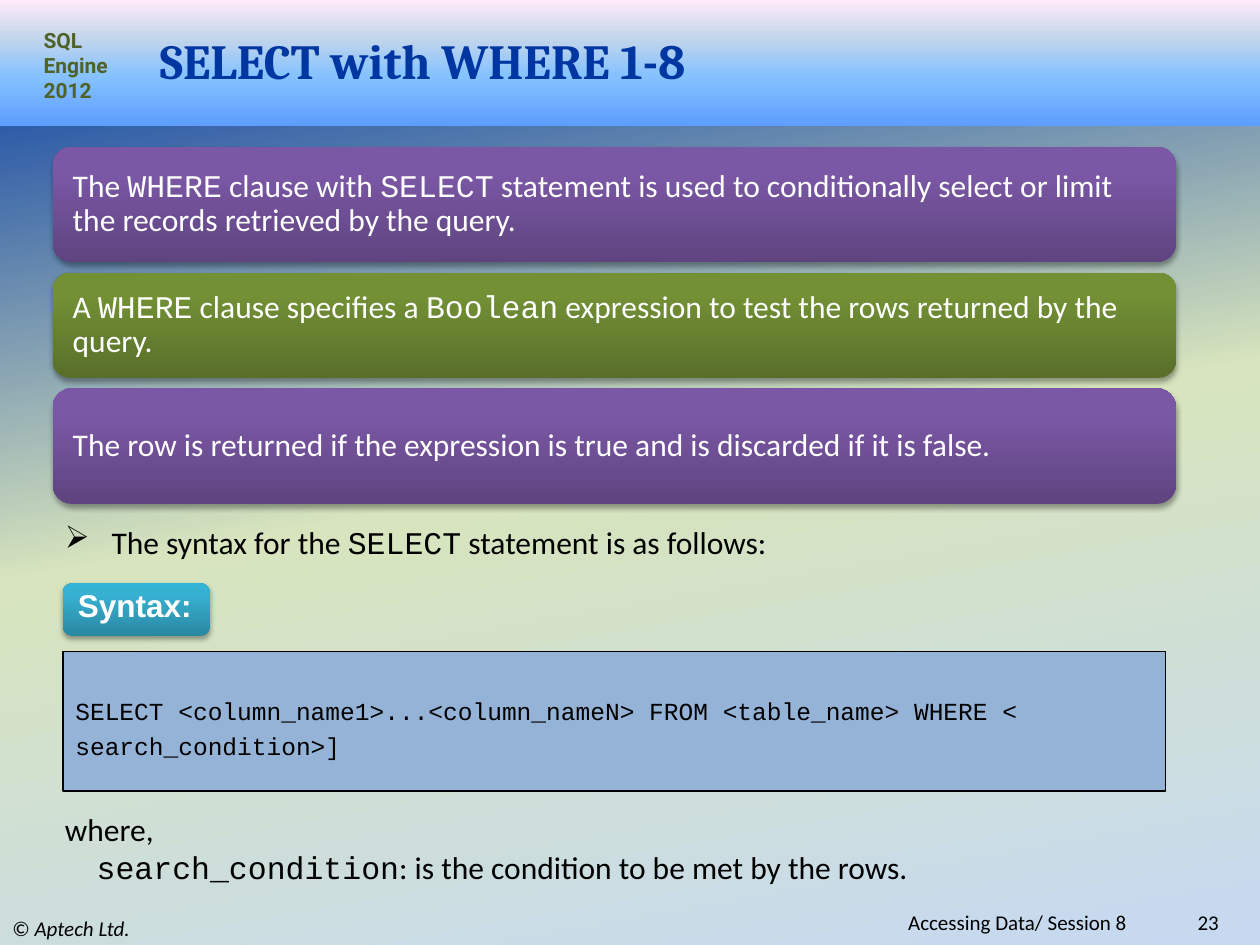
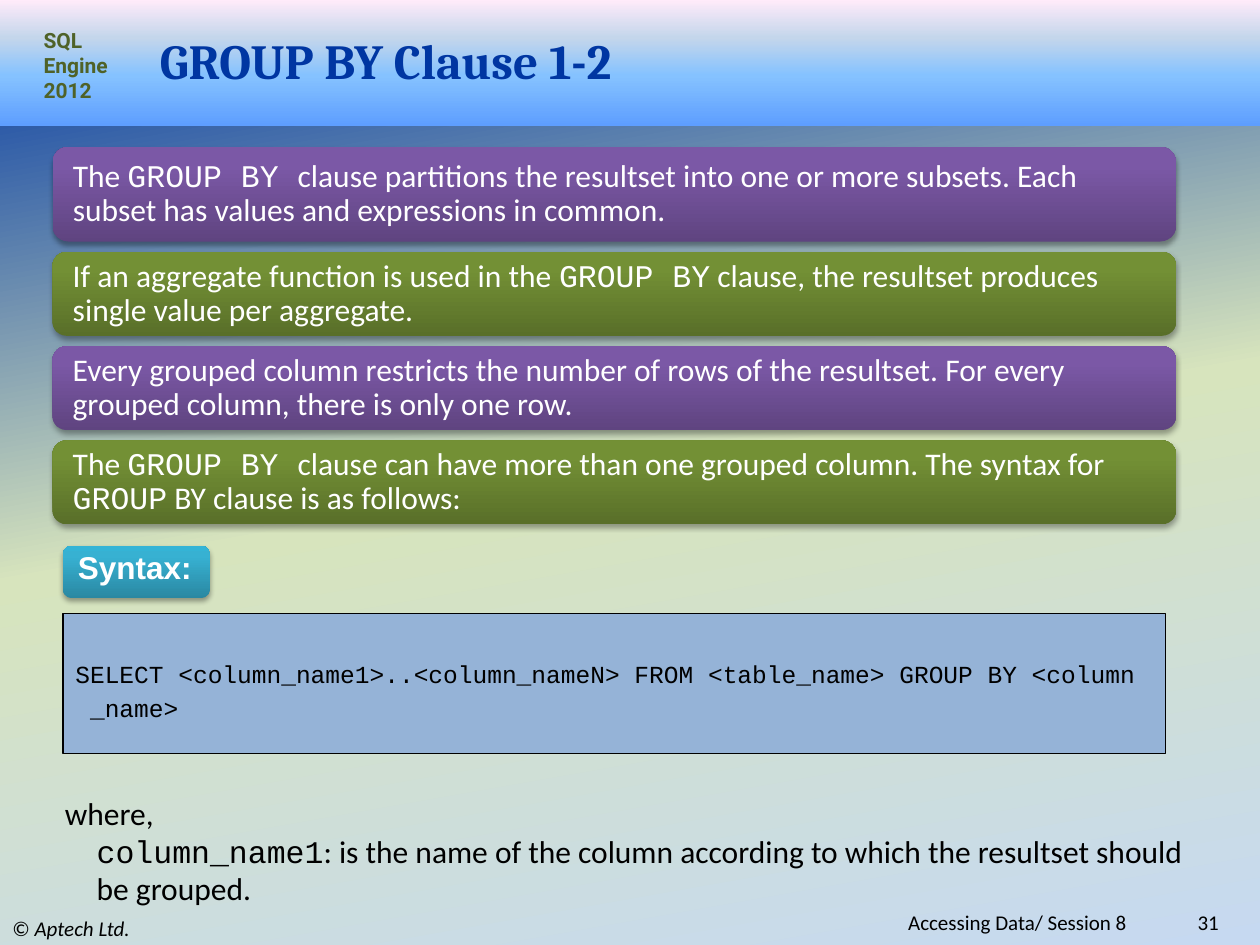
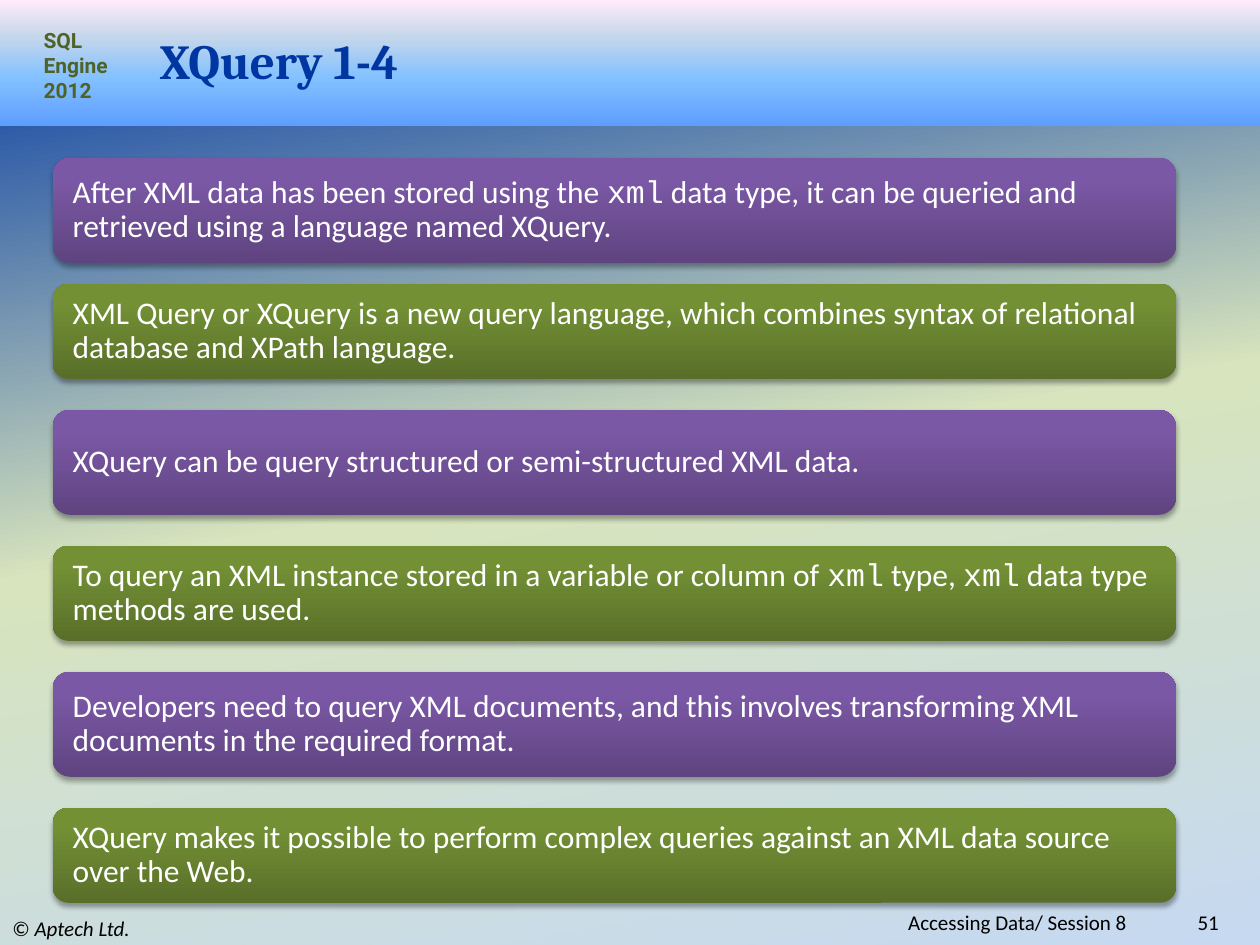
from collections import namedtuple

from lxml.etree import SubElement
from pptx import Presentation
from pptx.dml.color import RGBColor
from pptx.enum.shapes import MSO_SHAPE as Preset
from pptx.enum.text import MSO_ANCHOR as Anchor, MSO_AUTO_SIZE as AutoSize, PP_ALIGN as Align
from pptx.oxml.ns import qn
from pptx.util import Cm, Pt

Box = namedtuple("Box", "left top width height")

BLACK = RGBColor(0x00, 0x00, 0x00)
WHITE = RGBColor(0xFF, 0xFF, 0xFF)
NAVY = RGBColor(0x00, 0x36, 0xA2)
OLIVE = RGBColor(0x4F, 0x62, 0x28)
CODE_BLUE = RGBColor(0x95, 0xB3, 0xD7)

BACKGROUND = [(0, NAVY), (50, RGBColor(0xD7, 0xE4, 0xBD)), (100, RGBColor(0xC6, 0xD9, 0xF1))]
BAND = [(0, RGBColor(0x5E, 0x9E, 0xFF)), (40, RGBColor(0x85, 0xC2, 0xFF)),
        (70, RGBColor(0xC4, 0xD6, 0xEB)), (100, RGBColor(0xFF, 0xEB, 0xFA))]
PURPLE = [(0, RGBColor(0x5F, 0x44, 0x80)), (80, RGBColor(0x7B, 0x58, 0xA6)),
          (100, RGBColor(0x7C, 0x57, 0xA8))]
GREEN = [(0, RGBColor(0x59, 0x6F, 0x29)), (80, RGBColor(0x73, 0x90, 0x35)),
         (100, RGBColor(0x74, 0x93, 0x34))]
TEAL = [(0, RGBColor(0x2A, 0x88, 0xA2)), (80, RGBColor(0x37, 0xB1, 0xD2)),
        (100, RGBColor(0x34, 0xB4, 0xD6))]

BODY_FONT = "Calibri"
CODE_FONT = "Courier New"
HEADER = Box(0, 0, 25.4, 2.54)
FOOTER = Box(0, 18.36, 24.82, 0.69)
CARD_LEFT, CARD_WIDTH = 1.06, 22.65
PANEL_LEFT, PANEL_WIDTH, PANEL_HEIGHT = 1.27, 22.23, 4.19
NOTE_LEFT, NOTE_WIDTH = 1.06, 23.5


def lengths(box):
    """Convert a box in centimetres to four lengths."""
    return [Cm(value) for value in box]


def set_gradient(fill, owner, stops, angle):
    """Give a fill of the owner element a linear gradient, angle clockwise."""
    fill.gradient()
    gradient = owner.find(".//" + qn("a:gradFill"))
    stop_list = gradient.find(qn("a:gsLst"))
    stop_list.clear()
    for position, color in stops:
        stop = SubElement(stop_list, qn("a:gs"), pos=str(position * 1000))
        SubElement(stop, qn("a:srgbClr"), val=str(color))
    line = gradient.find(qn("a:lin"))
    line.set("ang", str(angle * 60000))
    line.set("scaled", "0")


def add_gradient_shape(slide, preset, box, stops, shadow=True):
    """Add a borderless shape with an upward gradient and a soft shadow."""
    shape = slide.shapes.add_shape(preset, *lengths(box))
    shape.shadow.inherit = False
    set_gradient(shape.fill, shape.element, stops, 270)
    shape.line.fill.background()
    if shadow:
        effects = shape.element.spPr.find(qn("a:effectLst"))
        outer = SubElement(effects, qn("a:outerShdw"), blurRad=str(Pt(3.1)), dist=str(Pt(1.8)),
                           dir="5400000", rotWithShape="0")
        color = SubElement(outer, qn("a:srgbClr"), val=str(BLACK))
        SubElement(color, qn("a:alpha"), val="35000")
    return shape


def add_run(paragraph, text, size, color, font=BODY_FONT, bold=None, italic=None):
    """Append one formatted run."""
    run = paragraph.add_run()
    run.text = text
    run.font.name, run.font.size = font, Pt(size)
    run.font.bold, run.font.italic = bold, italic
    run.font.color.rgb = color


def add_marked_runs(paragraph, text, color):
    """Append body runs, with the parts between backticks in the code font."""
    for index, part in enumerate(text.split("`")):
        if part:
            add_run(paragraph, part, 18, color, CODE_FONT if index % 2 else BODY_FONT)


def add_text_box(slide, box, anchor=Anchor.TOP):
    """Add a wrapping text box and return its frame."""
    frame = slide.shapes.add_textbox(*lengths(box)).text_frame
    frame.word_wrap = True
    frame.vertical_anchor = anchor
    return frame


def draw_header(slide, box, title_text):
    """Draw the band, the course label and the slide title."""
    title = slide.shapes.title
    band = add_gradient_shape(slide, Preset.RECTANGLE, box, BAND, shadow=False)
    title.element.addprevious(band.element)
    label = add_text_box(slide, Box(box.left + 0.63, box.top + 0.43, 1.91, 1.8))
    add_run(label.paragraphs[0], "SQL Engine 2012", 12, OLIVE, "Roboto", bold=True)
    title.left, title.top, title.width, title.height = lengths(
        Box(box.left + 2.97, box.top + 0.64, 21.16, 1.14))
    frame = title.text_frame
    frame.auto_size = AutoSize.NONE
    frame.vertical_anchor = Anchor.MIDDLE
    frame.paragraphs[0].alignment = Align.LEFT
    add_run(frame.paragraphs[0], title_text, 28, NAVY, "Cambria", bold=True)


def draw_footer(slide, box, number):
    """Draw the copyright line, the session name and the slide number."""
    rights = add_text_box(slide, Box(box.left, box.top, 8.46, box.height), Anchor.MIDDLE)
    add_run(rights.paragraphs[0], "© ", 12, BLACK)
    add_run(rights.paragraphs[0], "Aptech Ltd.", 12, BLACK, italic=True)
    right = box.left + box.width
    for text, inset, width in [("Accessing Data/ Session 8 ", 1.76, 16.71), (number, 0, 2.16)]:
        frame = add_text_box(slide, Box(right - inset - width, box.top, width, 0.46), Anchor.MIDDLE)
        frame.paragraphs[0].alignment = Align.RIGHT
        add_run(frame.paragraphs[0], text, 12, BLACK)


def draw_card(slide, box, text, stops):
    """Draw one rounded statement card."""
    frame = add_gradient_shape(slide, Preset.ROUNDED_RECTANGLE, box, stops).text_frame
    frame.word_wrap = True
    frame.vertical_anchor = Anchor.MIDDLE
    frame.margin_left = frame.margin_right = Cm(0.41 - 0.05 * box.height)
    frame.margin_top = frame.margin_bottom = 0
    paragraph = frame.paragraphs[0]
    paragraph.alignment = Align.LEFT
    paragraph.line_spacing = 0.9
    add_marked_runs(paragraph, text, WHITE)


def draw_cards(slide, top, cards):
    """Stack cards of (gap before, height, text) in alternating colours."""
    for index, (gap, height, text) in enumerate(cards):
        top += gap
        draw_card(slide, Box(CARD_LEFT, top, CARD_WIDTH, height), text,
                  GREEN if index % 2 else PURPLE)
        top += height


def draw_syntax(slide, box, code_lines):
    """Draw the syntax label and the code panel below it."""
    label = add_gradient_shape(slide, Preset.ROUNDED_RECTANGLE,
                               Box(box.left, box.top, 2.96, 1.06), TEAL).text_frame
    label.vertical_anchor = Anchor.MIDDLE
    label.paragraphs[0].alignment = Align.LEFT
    label.paragraphs[0].line_spacing = 0.7
    add_run(label.paragraphs[0], "Syntax:", 18, WHITE, "Arial", bold=True)

    panel = slide.shapes.add_shape(Preset.RECTANGLE, *lengths(
        Box(box.left, box.top + 1.37, box.width, box.height - 1.37)))
    panel.shadow.inherit = False
    panel.fill.solid()
    panel.fill.fore_color.rgb = CODE_BLUE
    panel.line.color.rgb = BLACK
    panel.line.width = Pt(0.75)
    frame = panel.text_frame
    frame.word_wrap = True
    frame.vertical_anchor = Anchor.TOP
    frame.margin_top = Cm(1.07)
    for index, code in enumerate(code_lines):
        paragraph = frame.add_paragraph() if index else frame.paragraphs[0]
        paragraph.alignment = Align.LEFT
        paragraph.line_spacing = 0.7
        if index:
            paragraph.space_before = Pt(7.8)
        add_run(paragraph, code, 14, BLACK, CODE_FONT)


def draw_bullet(slide, box, text):
    """Draw one arrow-bulleted line."""
    paragraph = add_text_box(slide, box).paragraphs[0]
    properties = paragraph._p.get_or_add_pPr()
    properties.set("marL", str(Cm(0.94)))
    properties.set("indent", str(Cm(-0.94)))
    SubElement(properties, qn("a:buChar"), char="➢")
    add_marked_runs(paragraph, text, BLACK)


def draw_where(slide, box, text):
    """Draw the explanation of a syntax term."""
    frame = add_text_box(slide, box)
    add_marked_runs(frame.paragraphs[0], "where,", BLACK)
    paragraph = frame.add_paragraph()
    paragraph._p.get_or_add_pPr().set("marL", str(Cm(0.64)))
    add_marked_runs(paragraph, text, BLACK)


def start_slide(presentation, title, number):
    """Add a slide with its header and footer."""
    slide = presentation.slides.add_slide(presentation.slide_layouts[5])
    draw_header(slide, HEADER, title)
    draw_footer(slide, FOOTER, number)
    return slide


def build_where_slide(presentation):
    """Build the slide on the WHERE clause."""
    slide = start_slide(presentation, "SELECT with WHERE 1-8", "23")
    draw_cards(slide, 2.96, [
        (0, 2.33, "The `WHERE` clause with `SELECT` statement is used to conditionally select "
                  "or limit the records retrieved by the query."),
        (0.21, 2.12, "A `WHERE` clause specifies a `Boolean` expression to test the rows "
                     "returned by the query."),
        (0.21, 2.33, "The row is returned if the expression is true and is discarded "
                     "if it is false."),
    ])
    draw_bullet(slide, Box(NOTE_LEFT, 10.41, NOTE_WIDTH, 1.02),
                "The syntax for the `SELECT` statement is as follows:")
    draw_syntax(slide, Box(PANEL_LEFT, 11.76, PANEL_WIDTH, PANEL_HEIGHT), [
        "SELECT <column_name1>...<column_nameN> FROM <table_name> WHERE <",
        "search_condition>]",
    ])
    draw_where(slide, Box(NOTE_LEFT, 16.21, NOTE_WIDTH, 1.8),
               "`search_condition`: is the condition to be met by the rows.")


def build_group_by_slide(presentation):
    """Build the slide on the GROUP BY clause."""
    slide = start_slide(presentation, "GROUP BY Clause 1-2", "31")
    draw_cards(slide, 2.96, [
        (0, 1.91, "The `GROUP BY `clause partitions the resultset into one or more subsets. "
                  "Each subset has values and expressions in common."),
        (0.21, 1.69, "If an aggregate function is used in the `GROUP BY` clause, the resultset "
                     "produces single value per aggregate."),
        (0.21, 1.69, "Every grouped column restricts the number of rows of the resultset. "
                     "For every grouped column, there is only one row."),
        (0.21, 1.69, "The `GROUP BY `clause can have more than one grouped column. "
                     "The syntax for `GROUP` BY clause is as follows:"),
    ])
    draw_syntax(slide, Box(PANEL_LEFT, 11, PANEL_WIDTH, PANEL_HEIGHT), [
        "SELECT <column_name1>..<column_nameN> FROM <table_name> GROUP BY <column",
        " _name>",
    ])
    draw_where(slide, Box(NOTE_LEFT, 15.88, NOTE_WIDTH, 2.57),
               "`column_name1`: is the name of the column according to which "
               "the resultset should be grouped.")


def build_xquery_slide(presentation):
    """Build the slide on XQuery."""
    slide = start_slide(presentation, "XQuery 1-4", "51")
    draw_cards(slide, 3.18, [
        (0, 2.12, "After XML data has been stored using the `xml` data type, it can be queried "
                  "and retrieved using a language named XQuery."),
        (0.42, 1.92, "XML Query or XQuery is a new query language, which combines syntax of "
                     "relational database and XPath language."),
        (0.62, 2.12, "XQuery can be query structured or semi-structured XML data."),
        (0.62, 1.92, "To query an XML instance stored in a variable or column of `xml` type, "
                     "`xml` data type methods are used."),
        (0.62, 2.12, "Developers need to query XML documents, and this involves transforming "
                     "XML documents in the required format."),
        (0.62, 1.92, "XQuery makes it possible to perform complex queries against an XML "
                     "data source over the Web."),
    ])


def main():
    """Build and save the presentation."""
    presentation = Presentation()
    presentation.slide_width, presentation.slide_height = Cm(25.4), Cm(19.05)
    master = presentation.slide_master
    set_gradient(master.background.fill, master.element, BACKGROUND, 80)
    build_where_slide(presentation)
    build_group_by_slide(presentation)
    build_xquery_slide(presentation)
    presentation.save("out.pptx")


if __name__ == "__main__":
    main()
